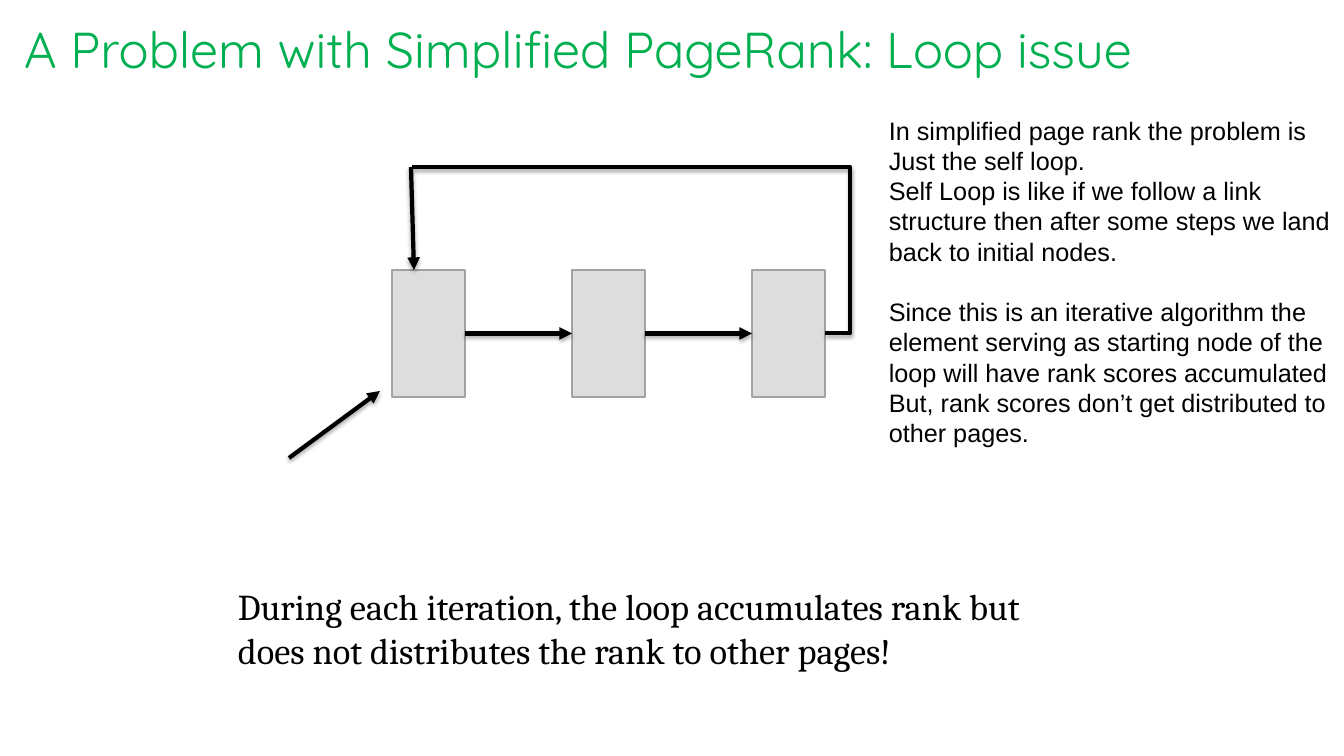
import pptx
import pptx.util
import pptx.dml.color
import pptx.enum.shapes
import pptx.enum.text
import pptx.oxml.ns
import lxml.etree

qn = pptx.oxml.ns.qn
Pt = pptx.util.Pt
Kind = pptx.enum.shapes.MSO_CONNECTOR


def px(num):
    return round(num * 914400 / 100.8)


def color(code):
    return pptx.dml.color.RGBColor.from_string(code)


def add(node, tag, **attrs):
    return lxml.etree.SubElement(node, qn(tag), attrs)


class Deck:
    ink = "000000"
    green = "00B050"
    gray = "DDDDDD"
    edge = "A3A3A3"

    def __init__(self):
        self.prs = pptx.Presentation()
        self.prs.slide_width = px(1344)
        self.prs.slide_height = px(756)
        self.slide = self.prs.slides.add_slide(self.prs.slide_layouts[5])

    def style(self, para, text, size, face, code):
        para.text = text
        para.alignment = pptx.enum.text.PP_ALIGN.LEFT
        para.font.size = Pt(size)
        para.font.name = face
        para.font.color.rgb = color(code)

    def title(self, text, x, y, w, h):
        box = self.slide.shapes.title
        box.left, box.top, box.width, box.height = map(px, (x, y, w, h))
        frame = box.text_frame
        frame.word_wrap = True
        frame.auto_size = pptx.enum.text.MSO_AUTO_SIZE.NONE
        frame.vertical_anchor = pptx.enum.text.MSO_ANCHOR.BOTTOM
        frame.margin_left = frame.margin_right = px(10)
        frame.margin_top = frame.margin_bottom = px(10)
        self.style(frame.paragraphs[0], text, 36, "Quicksand", self.green)

    def text(self, lines, x, y, w, h, size, face, gaps=()):
        box = self.slide.shapes.add_textbox(*map(px, (x, y, w, h)))
        frame = box.text_frame
        frame.word_wrap = True
        frame.auto_size = pptx.enum.text.MSO_AUTO_SIZE.SHAPE_TO_FIT_TEXT
        for i, line in enumerate(lines):
            para = frame.add_paragraph() if i else frame.paragraphs[0]
            self.style(para, line, size, face, self.ink)
            if i in gaps:
                para.space_before = Pt(size * 1.2)

    def node(self, x, y, w, h):
        kind = pptx.enum.shapes.MSO_SHAPE.RECTANGLE
        box = self.slide.shapes.add_shape(kind, *map(px, (x, y, w, h)))
        box.shadow.inherit = False
        box.fill.solid()
        box.fill.fore_color.rgb = color(self.gray)
        box.line.color.rgb = color(self.edge)
        box.line.width = Pt(2)
        return box

    def link(self, x1, y1, x2, y2, kind=Kind.STRAIGHT, head=True):
        line = self.slide.shapes.add_connector(kind, *map(px, (x1, y1, x2, y2)))
        line.line.color.rgb = color(self.ink)
        line.line.width = Pt(3)
        if head:
            add(line.line._get_or_add_ln(), "a:tailEnd", type="triangle")
        props = line._element.spPr
        glow = add(add(props, "a:effectLst"), "a:outerShdw",
                   blurRad=str(Pt(3.1)), dist=str(Pt(1.8)),
                   dir="5400000", rotWithShape="0")
        add(add(glow, "a:srgbClr", val=self.ink), "a:alpha", val="35000")
        return line

    def bend(self, x1, y1, x2, y2, ratio):
        line = self.link(x1, y1, x2, y2, Kind.ELBOW, False)
        geom = line._element.spPr.find(qn("a:prstGeom"))
        guides = geom.find(qn("a:avLst"))
        add(guides, "a:gd", name="adj1", fmla=f"val {round(ratio * 100000)}")


def main():
    deck = Deck()
    deck.title("A Problem with Simplified PageRank: Loop issue", 14, 29, 1210, 60)
    deck.text(["During each iteration, the loop accumulates rank but "
               "does not distributes the rank to other pages!"],
              228, 579, 868, 99, 26, "Cambria")

    left, top, wide, high, step = 392, 270, 73, 127, 180
    mid = top + high // 2
    nodes = [deck.node(left + i * step, top, wide, high) for i in range(3)]
    for i, (first, second) in enumerate(zip(nodes, nodes[1:])):
        x = left + i * step
        line = deck.link(x + wide, mid, x + step, mid)
        line.begin_connect(first, 3)
        line.end_connect(second, 1)

    deck.link(289, 458, 380, 391)
    start, end, out = left + 2 * step + wide, 412, 25
    deck.bend(start, mid, end, 167, -out / (start - end))
    deck.link(411, 167, 414, top)

    deck.text(["In simplified page rank the problem is",
               "Just the self loop.",
               "Self Loop is like if we follow a link structure then "
               "after some steps we land back to initial nodes.",
               "Since this is an iterative algorithm the element serving as "
               "starting node of the loop will have rank scores accumulated",
               "But, rank scores don’t get distributed to other pages."],
              879, 110, 466, 346, 18, "Arial", gaps=(3,))
    deck.prs.save("out.pptx")


if __name__ == "__main__":
    main()
